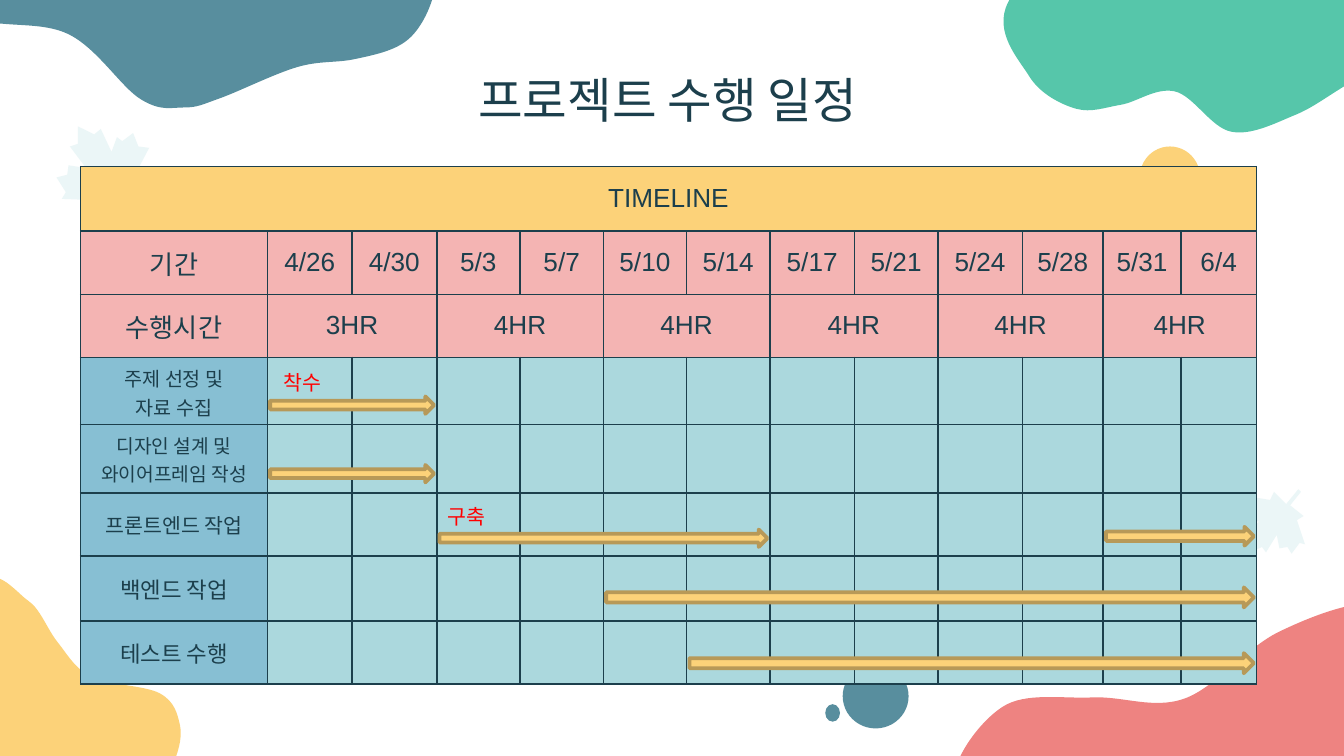
from dataclasses import dataclass
from math import cos, radians, sin

from lxml.etree import SubElement
from pptx import Presentation
from pptx.dml.color import RGBColor
from pptx.enum.shapes import MSO_SHAPE
from pptx.enum.text import MSO_ANCHOR, MSO_AUTO_SIZE, PP_ALIGN
from pptx.oxml.ns import qn
from pptx.util import Emu, Pt

SCALE = 9144
COLORS = {
    "ink": "1C3F4C", "yellow": "FCD279", "pink": "F4B4B3", "sky": "87BFD3",
    "pale": "ABD8DD", "coral": "EE8381", "green": "56C6AA", "slate": "588E9E",
    "leaf": "CBE7EA", "gold": "B79958", "red": "FF0000",
}


@dataclass
class Blob:
    color: str
    points: list[tuple[int, int]]


@dataclass
class Leaf:
    center_x: int
    center_y: int
    turn: int
    size: float


@dataclass
class Dot:
    color: str
    left: int
    top: int
    width: int
    height: int


@dataclass
class Arrow:
    first_column: int
    last_column: int
    top: int
    height: int = 13


@dataclass
class Label:
    text: str
    left: int
    top: int
    width: int
    height: int
    size: float
    font: str
    color: str


@dataclass
class Task:
    name: str
    size: float


BLOBS = [
    Blob("coral", [
        (1263, 583), (1146, 690), (1031, 717), (887, 657), (747, 640), (709, 583), (746, 526),
        (813, 519), (881, 520), (952, 470), (1031, 449), (1090, 491), (1146, 476)]),
    Blob("green", [
        (750, 2), (766, 57), (801, 81), (834, 78), (874, 68), (916, 98), (965, 85),
        (1019, 55), (1072, 47), (1120, 43), (1147, 2), (1072, -44), (916, -95), (834, -75)]),
    Blob("yellow", [
        (-14, 443), (21, 447), (43, 478), (69, 504), (119, 516), (134, 540),
        (128, 570), (108, 588), (63, 586), (12, 599), (-17, 622)]),
    Blob("slate", [
        (-24, 12), (50, 25), (105, 74), (137, 80), (164, 73), (221, 50), (264, 44),
        (303, 30), (323, -5), (320, -44), (256, -88), (92, -71), (-51, -76), (-97, -34)]),
]
LEAF_POINTS = [
    (-20, -33), (-20, -20), (-26, -18), (-14, -2), (-27, -4), (-28, 3), (-36, 5), (-29, 16),
    (-32, 21), (-7, 22), (-5, 29), (9, 20), (18, 35), (21, 34), (12, 18), (27, 11),
    (22, 4), (33, -17), (25, -18), (21, -28), (13, -22), (9, -25), (5, -14), (-3, -31), (-8, -27)]
LEAVES = [Leaf(78, 127, 0, 1), Leaf(948, 388, -111, 0.75)]
DOTS = [
    Dot("slate", 627, 494, 49, 48),
    Dot("slate", 614, 524, 11, 13),
    Dot("yellow", 848, 109, 45, 46),
]
COLUMNS = [139, 63, 63, 62, 62, 62, 62, 63, 62, 63, 60, 58, 56]
ROWS = [48, 47, 47, 50, 51, 47, 48, 47]
TABLE_LEFT, TABLE_TOP = 60, 124
DATES = "4/26 4/30 5/3 5/7 5/10 5/14 5/17 5/21 5/24 5/28 5/31 6/4".split()
HOURS = ["3HR"] + ["4HR"] * 5
TASKS = [
    Task("주제 선정 및\n자료 수집", 10.5),
    Task("디자인 설계 및\n와이어프레임 작성", 10.3),
    Task("프론트엔드 작업", 11),
    Task("백엔드 작업", 12),
    Task("테스트 수행", 12),
]
ARROWS = [
    Arrow(1, 2, 295), Arrow(1, 2, 346), Arrow(3, 6, 394),
    Arrow(5, 12, 437, 15), Arrow(6, 12, 486, 15), Arrow(11, 12, 392, 14),
]
TITLE = Label("프로젝트 수행 일정", 308, 47, 378, 53, 26, "Montserrat", "ink")
MILESTONES = [
    Label("착수", 201, 270, 63, 29, 11, "Arial", "red"),
    Label("구축", 323, 370, 63, 29, 11, "Arial", "red"),
]


def px(value: int) -> Emu:
    return Emu(value * SCALE)


def rgb(name: str) -> RGBColor:
    return RGBColor.from_string(COLORS[name])


def paint(shape, color: str) -> None:
    shape.shadow.inherit = False
    shape.fill.solid()
    shape.fill.fore_color.rgb = rgb(color)


def format_text(text_frame, size: float, font: str, color: str, align=PP_ALIGN.CENTER) -> None:
    for paragraph in text_frame.paragraphs:
        paragraph.alignment = align
        for run in paragraph.runs:
            run.font.size = Pt(size)
            run.font.name = font
            run.font.color.rgb = rgb(color)


def draw_outline(slide, points: list[tuple[float, float]], color: str):
    builder = slide.shapes.build_freeform(*points[0], scale=SCALE)
    builder.add_line_segments(points[1:], close=True)
    shape = builder.convert_to_shape()
    paint(shape, color)
    shape.line.fill.background()
    return shape


def smooth_controls(points: list[tuple[int, int]]) -> list[tuple[float, float]]:
    count = len(points)
    result = [points[0]]
    for index, start in enumerate(points):
        before, end, after = points[index - 1], points[(index + 1) % count], points[(index + 2) % count]
        result.append(tuple(s + (e - b) / 6 for b, s, e in zip(before, start, end)))
        result.append(tuple(e - (a - s) / 6 for s, e, a in zip(start, end, after)))
        result.append(end)
    return result


def draw_blob(slide, blob: Blob) -> None:
    shape = draw_outline(slide, smooth_controls(blob.points), blob.color)
    geometry = next(shape._element.iter(qn("a:path")))
    segments = geometry.findall(qn("a:lnTo"))
    for start in range(0, 3 * len(blob.points), 3):
        curve, *others = segments[start:start + 3]
        curve.tag = qn("a:cubicBezTo")
        for other in others:
            curve.append(other[0])
            geometry.remove(other)


def draw_leaf(slide, leaf: Leaf) -> None:
    cosine, sine = (leaf.size * turn(radians(leaf.turn)) for turn in (cos, sin))
    points = [(leaf.center_x + x * cosine - y * sine, leaf.center_y + x * sine + y * cosine)
              for x, y in LEAF_POINTS]
    shape = draw_outline(slide, points, "leaf")
    color = shape._element.spPr.find(qn("a:solidFill"))[0]
    SubElement(color, qn("a:alpha"), val="37000")


def draw_dot(slide, dot: Dot) -> None:
    shape = slide.shapes.add_shape(
        MSO_SHAPE.OVAL, px(dot.left), px(dot.top), px(dot.width), px(dot.height))
    paint(shape, dot.color)
    shape.line.fill.background()


def draw_label(slide, label: Label, align=PP_ALIGN.LEFT):
    shape = slide.shapes.add_textbox(px(label.left), px(label.top), px(label.width), px(label.height))
    text_frame = shape.text_frame
    text_frame.word_wrap = True
    text_frame.text = label.text
    format_text(text_frame, label.size, label.font, label.color, align)
    return text_frame


def draw_arrow(slide, arrow: Arrow) -> None:
    left = TABLE_LEFT + sum(COLUMNS[:arrow.first_column]) + 2
    width = sum(COLUMNS[arrow.first_column:arrow.last_column + 1]) - 4
    shape = slide.shapes.add_shape(
        MSO_SHAPE.RIGHT_ARROW, px(left), px(arrow.top), px(width), px(arrow.height))
    paint(shape, "yellow")
    shape.line.color.rgb = rgb("gold")
    shape.line.width = Pt(2)


def style_cell(cell, color: str) -> None:
    properties = cell._tc.get_or_add_tcPr()
    for side in ("a:lnL", "a:lnR", "a:lnT", "a:lnB"):
        border = SubElement(properties, qn(side), w=str(Pt(1)))
        SubElement(SubElement(border, qn("a:solidFill")), qn("a:srgbClr"), val=COLORS["ink"])
    cell.fill.solid()
    cell.fill.fore_color.rgb = rgb(color)
    cell.vertical_anchor = MSO_ANCHOR.MIDDLE


def write_cell(cell, text: str, size: float = 14) -> None:
    cell.text_frame.text = text
    format_text(cell.text_frame, size, "Arial", "ink")


def draw_timeline(slide) -> None:
    table = slide.shapes.add_table(
        len(ROWS), len(COLUMNS), px(TABLE_LEFT), px(TABLE_TOP), px(sum(COLUMNS)), px(sum(ROWS))).table
    table.first_row = table.horz_banding = False
    for column, width in zip(table.columns, COLUMNS):
        column.width = px(width)
    for row, height in zip(table.rows, ROWS):
        row.height = px(height)
    for row in range(len(ROWS)):
        for column in range(len(COLUMNS)):
            body = "pale" if column else "sky"
            style_cell(table.cell(row, column), ["yellow", "pink", "pink"][row] if row < 3 else body)
    table.cell(0, 0).merge(table.cell(0, len(COLUMNS) - 1))
    write_cell(table.cell(0, 0), "TIMELINE")
    for column, text in enumerate(["기간"] + DATES):
        write_cell(table.cell(1, column), text)
    write_cell(table.cell(2, 0), "수행시간")
    for week, text in enumerate(HOURS):
        cell = table.cell(2, 1 + 2 * week)
        cell.merge(table.cell(2, 2 + 2 * week))
        write_cell(cell, text)
    for row, task in enumerate(TASKS, start=3):
        write_cell(table.cell(row, 0), task.name, task.size)


def main() -> None:
    presentation = Presentation()
    presentation.slide_width, presentation.slide_height = px(1000), Emu(5143500)
    slide = presentation.slides.add_slide(presentation.slide_layouts[6])
    for draw, items in ((draw_blob, BLOBS), (draw_leaf, LEAVES), (draw_dot, DOTS)):
        for item in items:
            draw(slide, item)
    draw_label(slide, TITLE, PP_ALIGN.CENTER).vertical_anchor = MSO_ANCHOR.MIDDLE
    draw_timeline(slide)
    for arrow in ARROWS:
        draw_arrow(slide, arrow)
    for milestone in MILESTONES:
        draw_label(slide, milestone).auto_size = MSO_AUTO_SIZE.SHAPE_TO_FIT_TEXT
    presentation.save("out.pptx")


if __name__ == "__main__":
    main()
